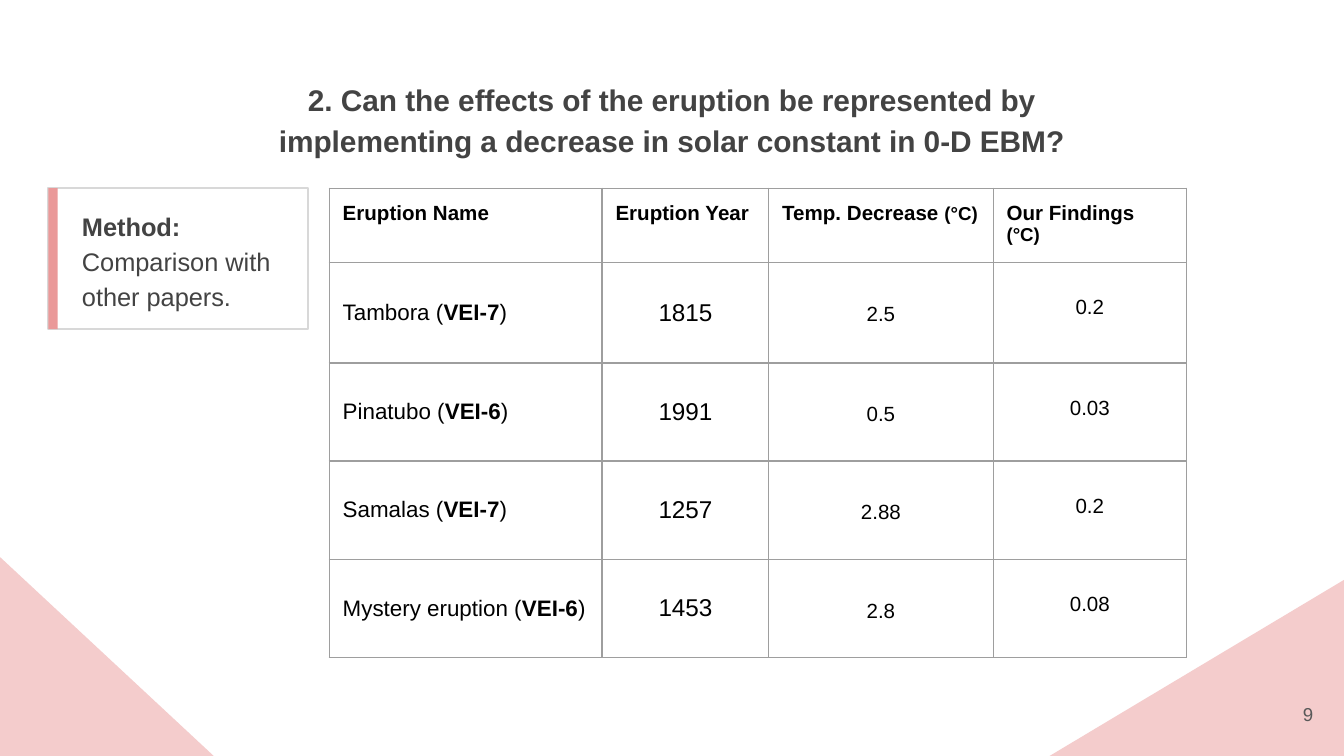
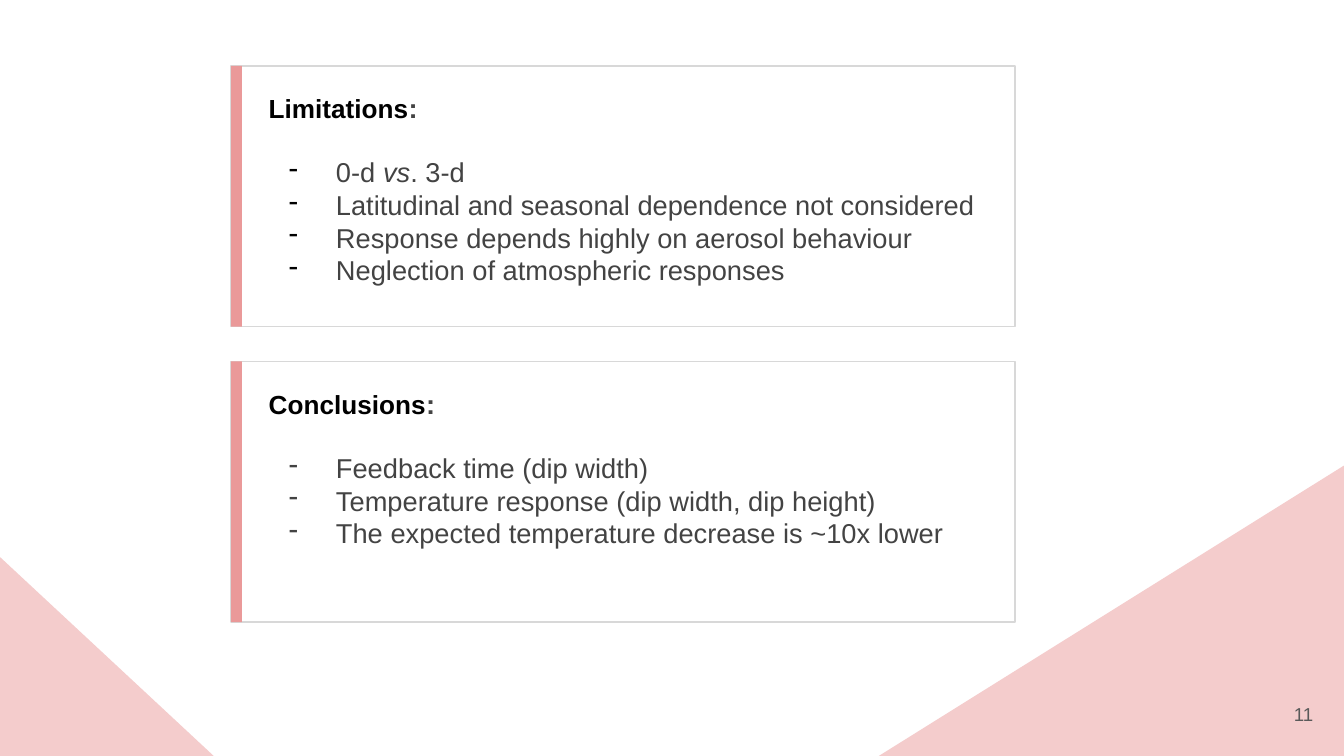
from lxml import etree
from pptx import Presentation
from pptx.dml.color import RGBColor
from pptx.enum.shapes import MSO_SHAPE
from pptx.enum.text import MSO_ANCHOR, PP_ALIGN
from pptx.oxml.ns import qn
from pptx.util import Inches, Pt

RECTANGLE = MSO_SHAPE.RECTANGLE
TRIANGLE = MSO_SHAPE.RIGHT_TRIANGLE
TOP, MIDDLE = MSO_ANCHOR.TOP, MSO_ANCHOR.MIDDLE
LEFT, CENTER, RIGHT = PP_ALIGN.LEFT, PP_ALIGN.CENTER, PP_ALIGN.RIGHT

BLACK = RGBColor(0x00, 0x00, 0x00)
WHITE = RGBColor(0xFF, 0xFF, 0xFF)
DARK = RGBColor(0x43, 0x43, 0x43)
MUTED = RGBColor(0x59, 0x59, 0x59)
OUTLINE = RGBColor(0xD8, 0xD8, 0xD8)
GRID = RGBColor(0x9E, 0x9E, 0x9E)
ACCENT = RGBColor(0xEA, 0x99, 0x99)
BLUSH = RGBColor(0xF4, 0xCC, 0xCC)
FONT = "Arial"
SLIDE_WIDTH, SLIDE_HEIGHT = 10, 5.625
BODY_SIZE = 14.6


def add_block(slide, kind, left, top, width, height, fill, line=None):
    block = slide.shapes.add_shape(kind, Inches(left), Inches(top), Inches(width), Inches(height))
    block.shadow.inherit = False
    block.fill.solid()
    block.fill.fore_color.rgb = fill
    if line is None:
        block.line.fill.background()
    else:
        block.line.color.rgb = line
        block.line.width = Pt(1)
    return block


def write(paragraph, runs, align=LEFT):
    paragraph.alignment = align
    for words, size, color, style in runs:
        run = paragraph.add_run()
        run.text = words
        run.font.name = FONT
        run.font.size = Pt(size)
        run.font.color.rgb = color
        run.font.bold = style == "bold"
        run.font.italic = style == "italic"


prs = Presentation()
prs.slide_width = Inches(SLIDE_WIDTH)
prs.slide_height = Inches(SLIDE_HEIGHT)

pages = [
    {
        "number": "9",
        "corner": (2.19, 1.31),
        "cards": [
            {
                "frame": (0.36, 1.4, 1.93, 1.05),
                "bar": 0.07,
                "text": (0.54, 1.5, 1.84, 1.05),
                "spacing": 1.15,
                "heading": [
                    ("Method: ", 13.6, DARK, "bold"),
                    ("Comparison with other papers.", 13.6, DARK, ""),
                ],
                "dash": DARK,
                "points": [],
            }
        ],
    },
    {
        "number": "11",
        "corner": (3.46, 2.16),
        "cards": [
            {
                "frame": (1.72, top, 5.83, 1.94),
                "bar": 0.08,
                "text": (1.93, top + 0.15, 5.5, 1.88),
                "spacing": 1,
                "heading": [(heading, 14, BLACK, "bold"), (":", BODY_SIZE, DARK, "bold")],
                "dash": dash,
                "points": points,
            }
            for heading, top, dash, points in [
                ("Limitations", 0.49, BLACK, [
                    [("0-d ", ""), ("vs", "italic"), (". 3-d", "")],
                    [("Latitudinal and seasonal dependence not considered", "")],
                    [("Response depends highly on aerosol behaviour", "")],
                    [("Neglection of atmospheric responses", "")],
                ]),
                ("Conclusions", 2.69, DARK, [
                    [("Feedback time (dip width)", "")],
                    [("Temperature response (dip width, dip height)", "")],
                    [("The expected temperature decrease is ~10x lower", "")],
                ]),
            ]
        ],
    },
]

for page in pages:
    slide = prs.slides.add_slide(prs.slide_layouts[6])
    slide.background.fill.solid()
    slide.background.fill.fore_color.rgb = WHITE

    add_block(slide, TRIANGLE, 0, SLIDE_HEIGHT - 1.48, 1.59, 1.48, BLUSH)
    width, height = page["corner"]
    corner = add_block(slide, TRIANGLE, SLIDE_WIDTH - width, SLIDE_HEIGHT - height, width, height, BLUSH)
    corner._element.spPr.find(qn("a:xfrm")).set("flipH", "1")

    for card in page["cards"]:
        left, top, width, height = card["frame"]
        add_block(slide, RECTANGLE, left, top, width, height, WHITE, OUTLINE)
        add_block(slide, RECTANGLE, left, top, card["bar"], height, ACCENT)
        content = slide.shapes.add_textbox(*map(Inches, card["text"])).text_frame
        content.word_wrap = True
        content.margin_left = content.margin_right = Inches(0.07)
        content.margin_top = content.margin_bottom = Inches(0.04)
        content.paragraphs[0].line_spacing = card["spacing"]
        write(content.paragraphs[0], card["heading"])
        for index, point in enumerate(card["points"]):
            bullet = content.add_paragraph()
            write(bullet, [(words, BODY_SIZE, DARK, style) for words, style in point])
            bullet.space_before = Pt(16.8 if index == 0 else 0)
            props = bullet._p.get_or_add_pPr()
            props.set("marL", str(Inches(0.5)))
            props.set("indent", str(Inches(-0.35)))
            dash_color = etree.SubElement(props, qn("a:buClr"))
            etree.SubElement(dash_color, qn("a:srgbClr")).set("val", str(card["dash"]))
            etree.SubElement(props, qn("a:buChar")).set("char", "-")

    page_number = slide.shapes.add_textbox(Inches(9.27), Inches(5.1), Inches(0.6), Inches(0.43)).text_frame
    page_number.word_wrap = True
    page_number.vertical_anchor = MIDDLE
    page_number.margin_left = page_number.margin_right = Inches(0.1)
    write(page_number.paragraphs[0], [(page["number"], 10, MUTED, "")], RIGHT)

comparison = prs.slides[0]
question = comparison.shapes.add_textbox(Inches(1.52), Inches(0.47), Inches(6.96), Inches(0.63)).text_frame
question.word_wrap = True
question.margin_left = question.margin_right = Inches(0.1)
question.margin_top = question.margin_bottom = Inches(0.1)
question.paragraphs[0].line_spacing = 1.15
write(question.paragraphs[0], [(
    "2. Can the effects of the eruption be represented by implementing "
    "a decrease in solar constant in 0-D EBM?", 16, DARK, "bold")], CENTER)

headers = [("Eruption Name", ""), ("Eruption Year", ""), ("Temp. Decrease ", "(°C)"), ("Our Findings ", "(°C)")]
eruptions = [
    ("Tambora", "VEI-7", "1815", "2.5", "0.2"),
    ("Pinatubo", "VEI-6", "1991", "0.5", "0.03"),
    ("Samalas", "VEI-7", "1257", "2.88", "0.2"),
    ("Mystery eruption", "VEI-6", "1453", "2.8", "0.08"),
]
column_widths = [2.03, 1.24, 1.67, 1.44]
row_heights = [0.42, 0.75, 0.73, 0.73, 0.73]

grid = comparison.shapes.add_table(
    len(row_heights), len(column_widths), Inches(2.45), Inches(1.4),
    Inches(sum(column_widths)), Inches(sum(row_heights))).table
grid.first_row = grid.horz_banding = False
for column, width in zip(grid.columns, column_widths):
    column.width = Inches(width)
for row, height in zip(grid.rows, row_heights):
    row.height = Inches(height)

rows = [[
    ([(words, 11, BLACK, "bold")] + ([(unit, 10, BLACK, "bold")] if unit else []), LEFT, TOP, 0.1)
    for words, unit in headers
]]
for name, index, year, decrease, finding in eruptions:
    rows.append([
        ([(f"{name} (", 12, BLACK, ""), (index, 12, BLACK, "bold"), (")", 12, BLACK, "")], LEFT, MIDDLE, 0.1),
        ([(year, 13, BLACK, "")], CENTER, MIDDLE, 0.1),
        ([(decrease, 11, BLACK, "")], CENTER, TOP, 0.3),
        ([(finding, 11, BLACK, "")], CENTER, TOP, 0.25),
    ])

for r, row in enumerate(rows):
    for c, (runs, align, anchor, margin_top) in enumerate(row):
        cell = grid.cell(r, c)
        cell.margin_left = cell.margin_right = cell.margin_bottom = Inches(0.1)
        cell.margin_top = Inches(margin_top)
        cell.vertical_anchor = anchor
        write(cell.text_frame.paragraphs[0], runs, align)
        props = cell._tc.get_or_add_tcPr()
        for side in ("a:lnL", "a:lnR", "a:lnT", "a:lnB"):
            border = etree.SubElement(props, qn(side))
            border.set("w", str(Pt(0.75)))
            stroke = etree.SubElement(border, qn("a:solidFill"))
            etree.SubElement(stroke, qn("a:srgbClr")).set("val", str(GRID))
        cell.fill.background()

prs.save("out.pptx")
